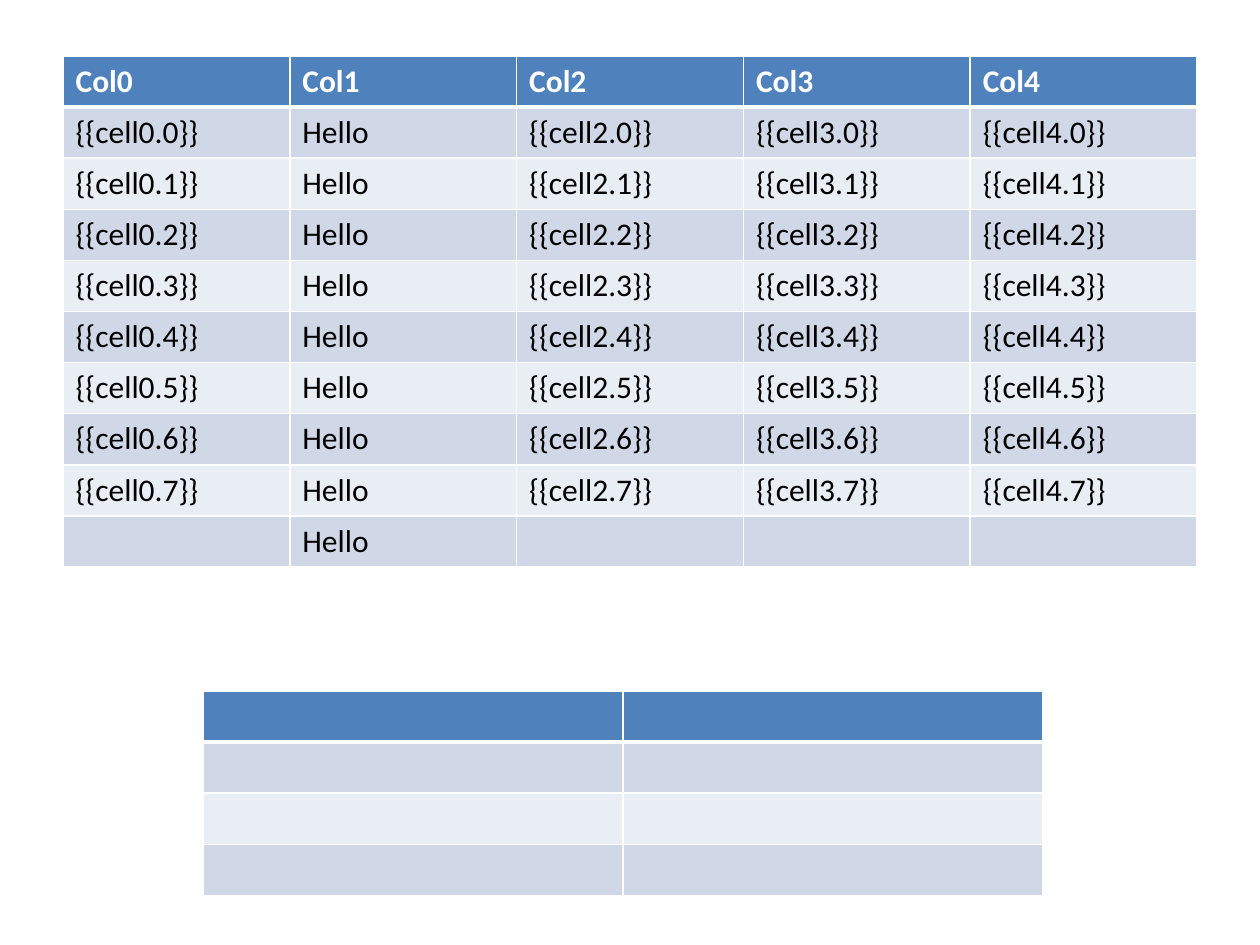
from dataclasses import dataclass

from lxml.etree import SubElement
from pptx import Presentation
from pptx.dml.color import RGBColor
from pptx.oxml.ns import qn
from pptx.util import Emu, Pt

PX = 914400 / 126  # EMU in one px
ROW_HEIGHT = 51


@dataclass(frozen=True)
class Theme:
    font: str = "Calibri"
    size: int = 18
    header: str = "4F81BD"
    bands: tuple = ("D0D8E8", "E9EDF4")
    header_text: str = "FFFFFF"
    body_text: str = "000000"
    border: str = "FFFFFF"
    thin: int = 1
    thick: int = 3


THEME = Theme()


def px(length):
    return Emu(round(length * PX))


def write_text(cell, text, *, color, bold=False):
    span = cell.text_frame.paragraphs[0].add_run()
    span.text = text
    span.font.name = THEME.font
    span.font.size = Pt(THEME.size)
    span.font.bold = bold
    span.font.color.rgb = RGBColor.from_string(color)


def set_borders(cell, **widths):
    """Draw the cell's edges, each given as L, R, T or B with a width in points."""
    properties = cell._tc.get_or_add_tcPr()
    for side, width in widths.items():
        line = SubElement(properties, qn(f"a:ln{side}"), w=str(Pt(width)))
        fill = SubElement(line, qn("a:solidFill"))
        SubElement(fill, qn("a:srgbClr"), val=THEME.border)


def add_banded_table(page, box, rows):
    """Place a table with a header row and alternating bands in box."""
    left, top, width = box
    columns = len(rows[0])
    table = page.shapes.add_table(
        len(rows), columns, px(left), px(top), px(width), px(ROW_HEIGHT * len(rows))
    ).table
    for column in table.columns:
        column.width = px(width / columns)

    for r, texts in enumerate(rows):
        table.rows[r].height = px(ROW_HEIGHT)
        is_header = r == 0
        background = THEME.header if is_header else THEME.bands[(r - 1) % 2]
        color = THEME.header_text if is_header else THEME.body_text
        for c, text in enumerate(texts):
            cell = table.cell(r, c)
            # The rule under the header is thick; both cells that share it agree
            set_borders(
                cell,
                L=THEME.thin,
                R=THEME.thin,
                T=THEME.thick if r == 1 else THEME.thin,
                B=THEME.thick if is_header else THEME.thin,
            )
            cell.fill.solid()
            cell.fill.fore_color.rgb = RGBColor.from_string(background)
            if text:
                write_text(cell, text, color=color, bold=is_header)


def template_rows():
    """Header, eight rows of placeholders, and a last row with only the greeting."""
    header = [f"Col{c}" for c in range(5)]
    body = [
        ["Hello" if c == 1 else f"{{{{cell{c}.{r}}}}}" for c in range(5)]
        for r in range(8)
    ]
    return [header, *body, ["", "Hello", "", "", ""]]


def main():
    deck = Presentation()
    deck.slide_width, deck.slide_height = px(1260), px(945)
    page = deck.slides.add_slide(deck.slide_layouts[6])

    # Table of template cells
    add_banded_table(page, (63, 56, 1134), template_rows())
    # Empty table
    add_banded_table(page, (203, 691, 840), [["", ""]] * 4)

    deck.save("out.pptx")


if __name__ == "__main__":
    main()
